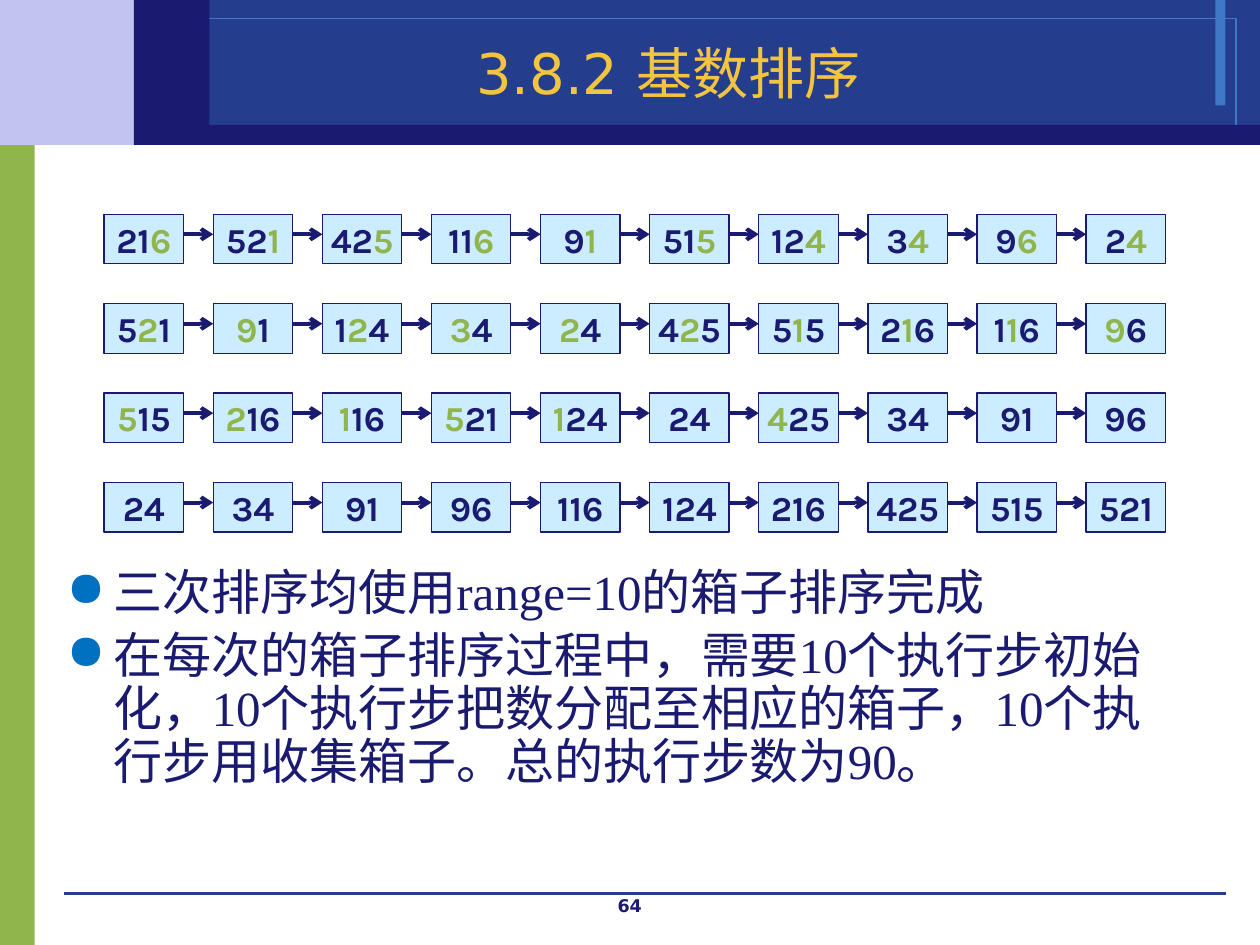
from dataclasses import dataclass

import lxml.etree
import pptx
import pptx.dml.color
import pptx.enum.shapes
import pptx.enum.text
import pptx.oxml
import pptx.oxml.ns
import pptx.util

NAVY = "1A1A70"
BLUE = "243D8C"
SKY = "3E78C6"
GREEN = "90B54D"
LILAC = "C3C3F1"
PALE = "CCECFF"
GOLD = "F3C43F"
BULLET = "0070C0"

BOX_WIDTH, BOX_HEIGHT = 45.4, 28.4
FIRST_LEFT, FIRST_TOP = 59.5, 122.4
COLUMN_STEP, ROW_STEP = 62.35, 51.1
ARROW_DROP = 11.5


@dataclass
class Panel:
    left: float
    top: float
    width: float
    height: float
    fill: str | None = None
    outline: str | None = None
    outline_width: float = 0


@dataclass
class SortPass:
    numbers: list[int]
    marked_place: int | None = None


PANELS = [
    Panel(0, 77, 19.8, 463, GREEN),
    Panel(0, 0, 110, 82.8, LILAC),
    Panel(110, 0, 610, 82.8, BLUE),
    Panel(694.5, 0, 5.7, 60.2, SKY),
    Panel(85.7, 10.5, 620.6, 61.2, None, SKY),
    Panel(93.6, 71.4, 626.4, 11.4, NAVY),
    Panel(76.5, 0, 43.2, 82.8, NAVY),
]

PASSES = [
    SortPass([216, 521, 425, 116, 91, 515, 124, 34, 96, 24], 1),
    SortPass([521, 91, 124, 34, 24, 425, 515, 216, 116, 96], 2),
    SortPass([515, 216, 116, 521, 124, 24, 425, 34, 91, 96], 3),
    SortPass([24, 34, 91, 96, 116, 124, 216, 425, 515, 521]),
]

STATEMENTS = [
    "三次排序均使用range=10的箱子排序完成",
    "在每次的箱子排序过程中，需要10个执行步初始化，10个执行步把数分配至相应的箱子，"
    "10个执行步用收集箱子。总的执行步数为90。",
]


def color(value: str) -> pptx.dml.color.RGBColor:
    return pptx.dml.color.RGBColor.from_string(value)


def points(*lengths: float) -> list[pptx.util.Pt]:
    return [pptx.util.Pt(length) for length in lengths]


def set_font(font, name: str, size: float, hue: str, bold: bool = False) -> None:
    font.name = name
    font.size = pptx.util.Pt(size)
    font.bold = bold
    font.color.rgb = color(hue)


def draw_panel(slide, panel: Panel):
    rectangle = slide.shapes.add_shape(
        pptx.enum.shapes.MSO_SHAPE.RECTANGLE,
        *points(panel.left, panel.top, panel.width, panel.height),
    )
    rectangle.shadow.inherit = False
    if panel.fill:
        rectangle.fill.solid()
        rectangle.fill.fore_color.rgb = color(panel.fill)
    else:
        rectangle.fill.background()
    if panel.outline:
        rectangle.line.color.rgb = color(panel.outline)
        rectangle.line.width = pptx.util.Pt(panel.outline_width)
    else:
        rectangle.line.fill.background()
    return rectangle


def draw_line(slide, left: float, right: float, y: float, hue: str,
              width: float, arrow: bool = False) -> None:
    connector = slide.shapes.add_connector(
        pptx.enum.shapes.MSO_CONNECTOR.STRAIGHT, *points(left, y, right, y))
    connector.line.color.rgb = color(hue)
    connector.line.width = pptx.util.Pt(width)
    if arrow:
        lxml.etree.SubElement(connector.line._get_or_add_ln(),
                              pptx.oxml.ns.qn("a:tailEnd"), type="arrow")
    lxml.etree.SubElement(connector.element.spPr, pptx.oxml.ns.qn("a:effectLst"))


def draw_number(slide, number: int, marked_place: int | None,
                left: float, top: float) -> None:
    box = draw_panel(slide, Panel(left, top, BOX_WIDTH, BOX_HEIGHT, PALE, NAVY, 0.75))
    frame = box.text_frame
    frame.word_wrap = False
    frame.vertical_anchor = pptx.enum.text.MSO_ANCHOR.MIDDLE
    paragraph = frame.paragraphs[0]
    paragraph.alignment = pptx.enum.text.PP_ALIGN.CENTER
    set_font(paragraph.font, "Karla", 20, NAVY, True)
    digits = str(number)
    marked = len(digits) - marked_place if marked_place else -1
    if marked < 0:
        parts = [(digits, NAVY)]
    else:
        parts = [(digits[:marked], NAVY), (digits[marked], GREEN),
                 (digits[marked + 1:], NAVY)]
    for text, hue in parts:
        if text:
            run = paragraph.add_run()
            run.text = text
            run.font.color.rgb = color(hue)


def draw_pass(slide, sort_pass: SortPass, top: float) -> None:
    for column, number in enumerate(sort_pass.numbers):
        left = FIRST_LEFT + column * COLUMN_STEP
        draw_number(slide, number, sort_pass.marked_place, left, top)
        if column:
            draw_line(slide, left - COLUMN_STEP + BOX_WIDTH, left,
                      top + ARROW_DROP, NAVY, 2.25, True)


def place_title(slide, text: str) -> None:
    title = slide.shapes.title
    title.left, title.top, title.width, title.height = points(85.7, 18.7, 592.6, 44.6)
    title.text_frame.text = text
    title.text_frame.vertical_anchor = pptx.enum.text.MSO_ANCHOR.MIDDLE
    paragraph = title.text_frame.paragraphs[0]
    paragraph.alignment = pptx.enum.text.PP_ALIGN.CENTER
    set_font(paragraph.font, "DejaVu Sans", 32, GOLD)
    title.element.getparent().append(title.element)


def add_bullet(paragraph) -> None:
    properties = paragraph._p.get_or_add_pPr()
    properties.set("marL", str(pptx.util.Pt(27)))
    properties.set("indent", str(pptx.util.Pt(-27)))
    bullet_color = lxml.etree.SubElement(properties, pptx.oxml.ns.qn("a:buClr"))
    lxml.etree.SubElement(bullet_color, pptx.oxml.ns.qn("a:srgbClr"), val=BULLET)
    lxml.etree.SubElement(properties, pptx.oxml.ns.qn("a:buChar"), char="●")


def write_statements(slide) -> None:
    frame = slide.shapes.add_textbox(*points(31, 321.1, 648, 180)).text_frame
    frame.word_wrap = True
    for index, statement in enumerate(STATEMENTS):
        paragraph = frame.add_paragraph() if index else frame.paragraphs[0]
        paragraph.text = statement
        paragraph.line_spacing = 0.9
        paragraph.space_before = pptx.util.Pt(5.6)
        add_bullet(paragraph)
        set_font(paragraph.font, "Times New Roman", 28, NAVY)


def write_page_number(slide, number: int) -> None:
    frame = slide.shapes.add_textbox(*points(275.8, 507.6, 168, 18)).text_frame
    frame.word_wrap = True
    paragraph = frame.paragraphs[0]
    paragraph.text = str(number)
    paragraph.alignment = pptx.enum.text.PP_ALIGN.CENTER
    set_font(paragraph.font, "DejaVu Sans", 10, NAVY, True)


def main() -> None:
    presentation = pptx.Presentation()
    presentation.slide_width, presentation.slide_height = points(720, 540)
    slide = presentation.slides.add_slide(presentation.slide_layouts[5])
    for panel in PANELS:
        draw_panel(slide, panel)
    draw_line(slide, 36.7, 700.6, 510.5, BLUE, 0)
    place_title(slide, "3.8.2 基数排序")
    write_page_number(slide, 64)
    write_statements(slide)
    for row, sort_pass in enumerate(PASSES):
        draw_pass(slide, sort_pass, FIRST_TOP + row * ROW_STEP)
    presentation.save("out.pptx")


if __name__ == "__main__":
    main()
